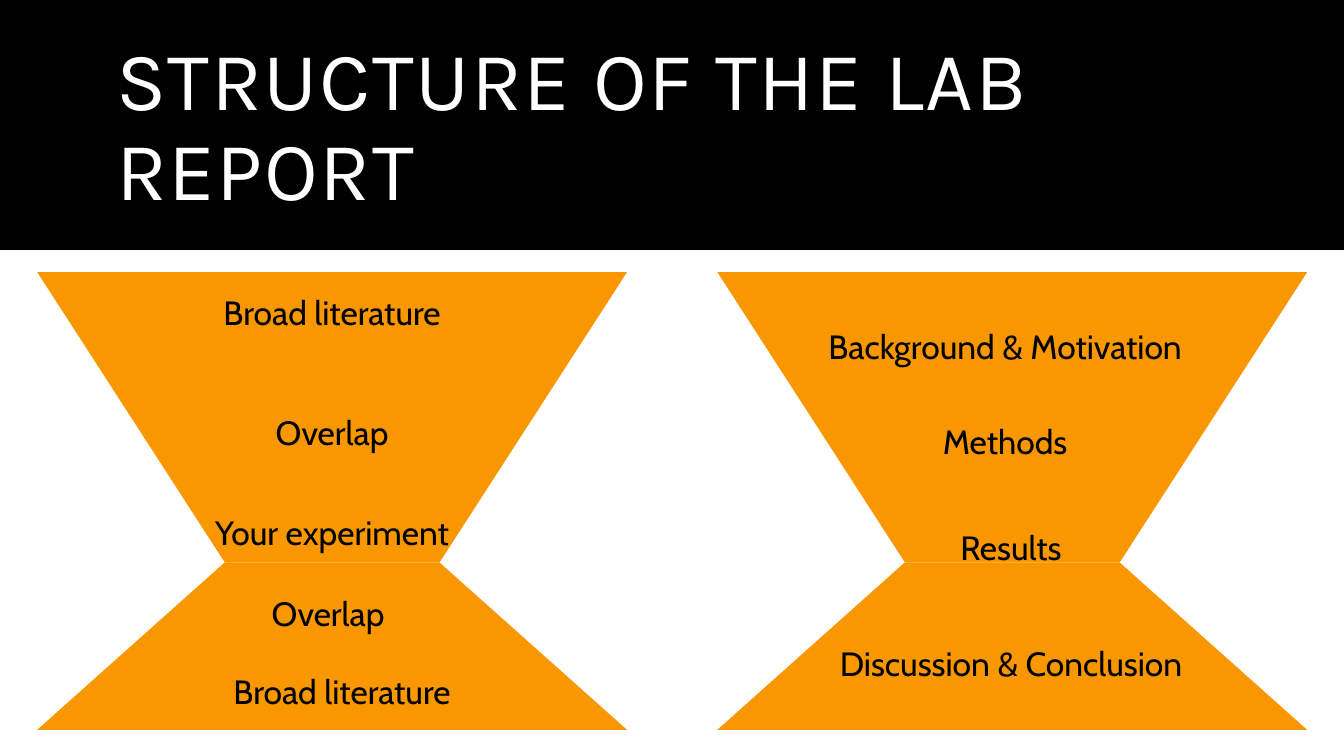
from dataclasses import dataclass

from pptx import Presentation
from pptx.dml.color import RGBColor
from pptx.enum.shapes import MSO_SHAPE
from pptx.enum.text import MSO_ANCHOR, MSO_AUTO_SIZE, PP_ALIGN
from pptx.util import Cm, Pt


@dataclass(frozen=True)
class Theme:
    """Colours, fonts and type sizes of the slide."""
    black: RGBColor = RGBColor(0x00, 0x00, 0x00)
    white: RGBColor = RGBColor(0xFF, 0xFF, 0xFF)
    orange: RGBColor = RGBColor(0xF9, 0x97, 0x00)
    title_font: str = "Karla"
    label_font: str = "Cabin"
    title_size: Pt = Pt(59.4)
    label_size: Pt = Pt(24)


THEME = Theme()
FUNNEL_LABELS = [
    ("Broad literature", 1.83, 0.38),
    ("Overlap", 1.83, 3.4),
    ("Your experiment", 1.83, 5.92),
    ("Overlap", 1.73, 7.95),
    ("Broad literature", 2.08, 9.91),
]
SECTION_LABELS = [
    ("Background & Motivation", 1.65, 1.24),
    ("Methods", 1.65, 3.63),
    ("Results", 1.8, 6.3),
    ("Discussion & Conclusion", 1.8, 9.22),
]


def add_filled(shapes, kind, color, x, y, w, h):
    """Add a flat shape without outline, placed in centimetres."""
    sp = shapes.add_shape(kind, Cm(x), Cm(y), Cm(w), Cm(h))
    sp.shadow.inherit = False
    sp.fill.solid()
    sp.fill.fore_color.rgb = color
    sp.line.fill.background()
    return sp


def style_run(r, font, size, color):
    """Set the typeface, size and colour of a run."""
    r.font.name = font
    r.font.size = size
    r.font.color.rgb = color


def add_header(s, text, x, y, w, h):
    """Draw the black band with the title inside it."""
    title = s.shapes.title
    band = add_filled(s.shapes, MSO_SHAPE.RECTANGLE, THEME.black, x, y, w, h)
    title._element.addprevious(band._element)
    title.left, title.top = Cm(x + 2.67), Cm(y + 0.89)
    title.width, title.height = Cm(w - 5.35), Cm(h - 1.58)
    tf = title.text_frame
    tf.text = text
    tf.word_wrap = True
    tf.auto_size = MSO_AUTO_SIZE.NONE
    tf.vertical_anchor = MSO_ANCHOR.MIDDLE
    p = tf.paragraphs[0]
    p.alignment = PP_ALIGN.LEFT
    p.line_spacing = 0.9
    r = p.runs[0]
    style_run(r, THEME.title_font, THEME.title_size, THEME.white)
    r.font._element.set("spc", "120")


def add_label(shapes, text, x, y):
    """Add one centred label."""
    tf = shapes.add_textbox(Cm(x), Cm(y), Cm(11.2), Cm(1.27)).text_frame
    tf.text = text
    tf.word_wrap = True
    tf.auto_size = MSO_AUTO_SIZE.SHAPE_TO_FIT_TEXT
    p = tf.paragraphs[0]
    p.alignment = PP_ALIGN.CENTER
    style_run(p.runs[0], THEME.label_font, THEME.label_size, THEME.black)


def add_hourglass(s, labels, x, y, w, h):
    """Group two facing trapezoids with labels offset from their corner."""
    shapes = s.shapes.add_group_shape().shapes
    upper = 7.32
    parts = [(y, upper, 0.646, 180), (y + upper, h - upper, 1.12, 0)]
    for top, height, adj, rotation in parts:
        sp = add_filled(shapes, MSO_SHAPE.TRAPEZOID, THEME.orange, x, top, w, height)
        sp.adjustments[0] = adj
        sp.rotation = rotation
    for text, dx, dy in labels:
        add_label(shapes, text, x + dx, y + dy)


def main():
    """Build and save the slide."""
    prs = Presentation()
    prs.slide_width, prs.slide_height = Cm(33.87), Cm(19.05)
    s = prs.slides.add_slide(prs.slide_layouts[5])
    s.background.fill.solid()
    s.background.fill.fore_color.rgb = THEME.white
    add_header(s, "STRUCTURE OF THE LAB REPORT", 0, 0, 33.87, 6.3)
    for x, labels in ((18.08, SECTION_LABELS), (0.94, FUNNEL_LABELS)):
        add_hourglass(s, labels, x, 6.86, 14.86, 11.53)
    prs.save("out.pptx")


if __name__ == "__main__":
    main()
